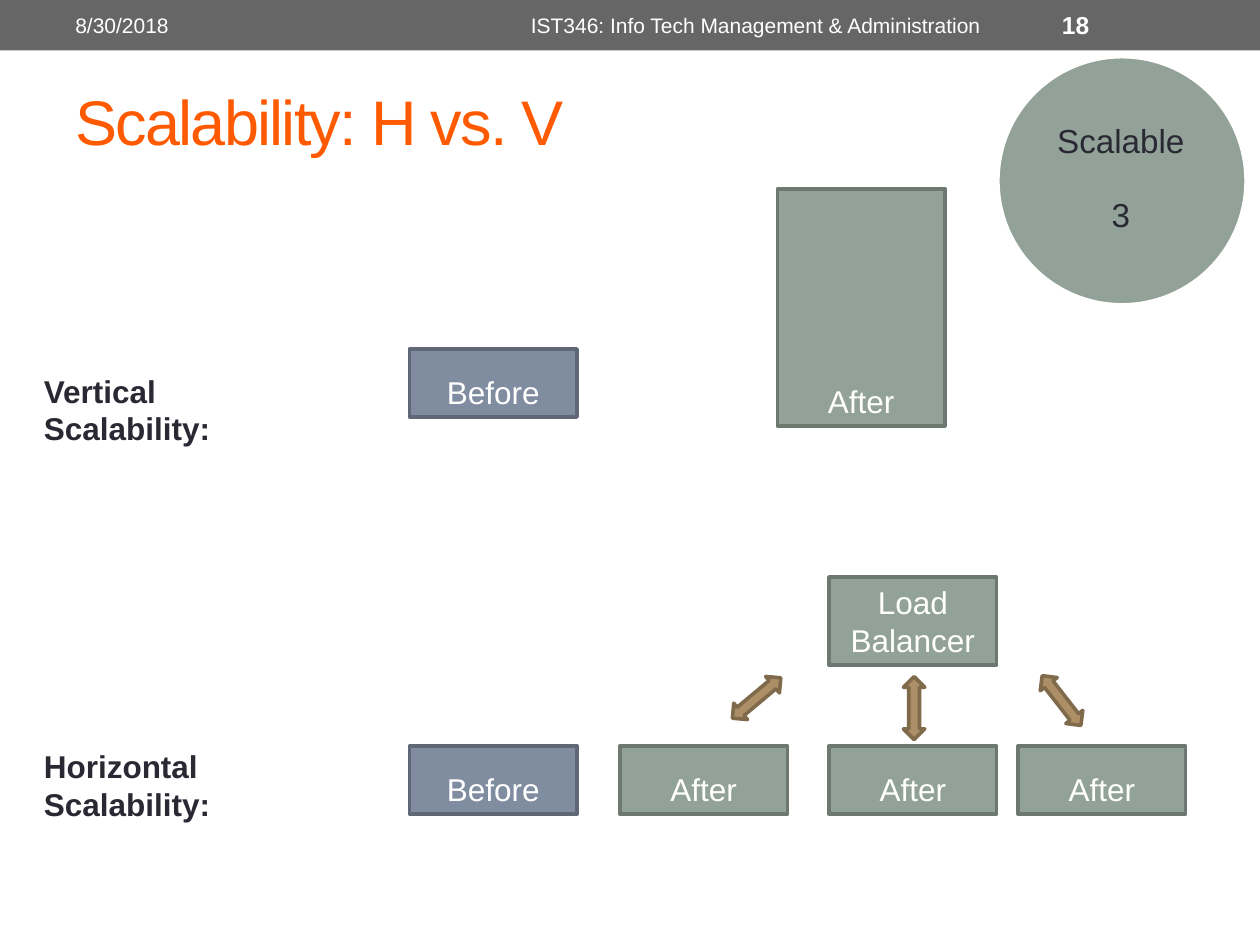
from pptx import Presentation
from pptx.dml.color import RGBColor
from pptx.enum import shapes, text
from pptx.util import Inches, Pt

FONT = "Arial"
WHITE, DARK, ORANGE, GRAY = "FFFFFF", "292934", "FF5A00", "666666"
BLUE = ("808DA0", "5F6876")
GREEN = ("93A299", "6D7871")
BROWN = ("AD8F67", "806A4C")

SLIDE_W, SLIDE_H = 10, 7.5
BAR_H = 0.4
BOX_W, BOX_H = 1.33, 0.54
COLUMNS = [3.25, 4.92, 6.58, 8.08]
SERVER_ROW = 5.92

# text, left, width, format
HEADER = [
    ("8/30/2018", 0.5, 3.17, {}),
    ("IST346: Info Tech Management & Administration", 3.75, 4.5, {"align": "CENTER"}),
    ("18", 8.33, 1.17, {"size": 14, "bold": True}),
]
# text, top, width
LABELS = [("Vertical\vScalability:", 2.9, 2.45), ("Horizontal\vScalability:", 5.88, 2.81)]
# text, left, top, height, colours
BOXES = [
    ("Before", COLUMNS[0], 2.77, BOX_H, BLUE),
    ("After", 6.17, 1.5, 1.88, GREEN),
    ("Load\vBalancer", COLUMNS[2], 4.58, 0.7, GREEN),
    ("Before", COLUMNS[0], SERVER_ROW, BOX_H, BLUE),
] + [("After", left, SERVER_ROW, BOX_H, GREEN) for left in COLUMNS[1:]]
# left, top, rotation
ARROWS = [(5.92, 5.29, 50.1), (8.34, 5.31, 322.1), (7.17, 5.37, 0)]


def rgb(value):
    return RGBColor.from_string(value)


def write(box, content, size=18, color=WHITE, bold=False, align="LEFT",
          anchor="MIDDLE", gap=0, leading=None, spacing=None):
    """Fill a box with one paragraph per line; gap is the space between them."""
    frame = box.text_frame
    frame.word_wrap = True
    frame.vertical_anchor = getattr(text.MSO_ANCHOR, anchor)
    frame.text = content
    for index, para in enumerate(frame.paragraphs):
        para.alignment = getattr(text.PP_ALIGN, align)
        if leading:
            para.line_spacing = leading
        if index:
            para.space_before = Pt(gap)
        for span in para.runs:
            font = span.font
            font.name, font.size, font.bold = FONT, Pt(size), bold
            font.color.rgb = rgb(color)
            if spacing:
                span._r.get_or_add_rPr().set("spc", str(spacing * 100))


def add_text(page, content, left, top, width, height, **style):
    box = page.shapes.add_textbox(*map(Inches, (left, top, width, height)))
    write(box, content, **style)
    return box


def add_shape(page, kind, left, top, width, height, fill, line=None):
    shape = page.shapes.add_shape(getattr(shapes.MSO_SHAPE, kind),
                                  *map(Inches, (left, top, width, height)))
    shape.shadow.inherit = False
    shape.fill.solid()
    shape.fill.fore_color.rgb = rgb(fill)
    if line:
        shape.line.color.rgb = rgb(line)
        shape.line.width = Pt(2.08)
    else:
        shape.line.fill.background()
    return shape


def main():
    deck = Presentation()
    deck.slide_width, deck.slide_height = Inches(SLIDE_W), Inches(SLIDE_H)
    page = deck.slides.add_slide(deck.slide_layouts[6])

    add_shape(page, "RECTANGLE", 0, 0, SLIDE_W, BAR_H, GRAY)
    for content, left, width, style in HEADER:
        add_text(page, content, left, 0.02, width, 0.36, **{"size": 12, **style})
    add_text(page, "Scalability: H vs. V", 0.5, 0.58, 9, 0.75,
             size=36, color=ORANGE, spacing=-1)

    add_shape(page, "OVAL", 7.92, 0.45, 1.97, 1.97, GREEN[0], WHITE)
    add_text(page, "Scalable\n3", 8.2, 0.73, 1.39, 1.39, size=19, color=DARK,
             align="CENTER", leading=0.9, gap=21.5)

    for content, top, width in LABELS:
        add_text(page, content, 0.25, top, width, 0.71, color=DARK, bold=True, anchor="TOP")
    for content, left, top, height, colors in BOXES:
        box = add_shape(page, "RECTANGLE", left, top, BOX_W, height, *colors)
        write(box, content, align="CENTER", anchor="BOTTOM")
    for left, top, rotation in ARROWS:
        arrow = add_shape(page, "UP_DOWN_ARROW", left, top, 0.17, 0.5, *BROWN)
        arrow.rotation = rotation

    deck.save("out.pptx")


if __name__ == "__main__":
    main()
